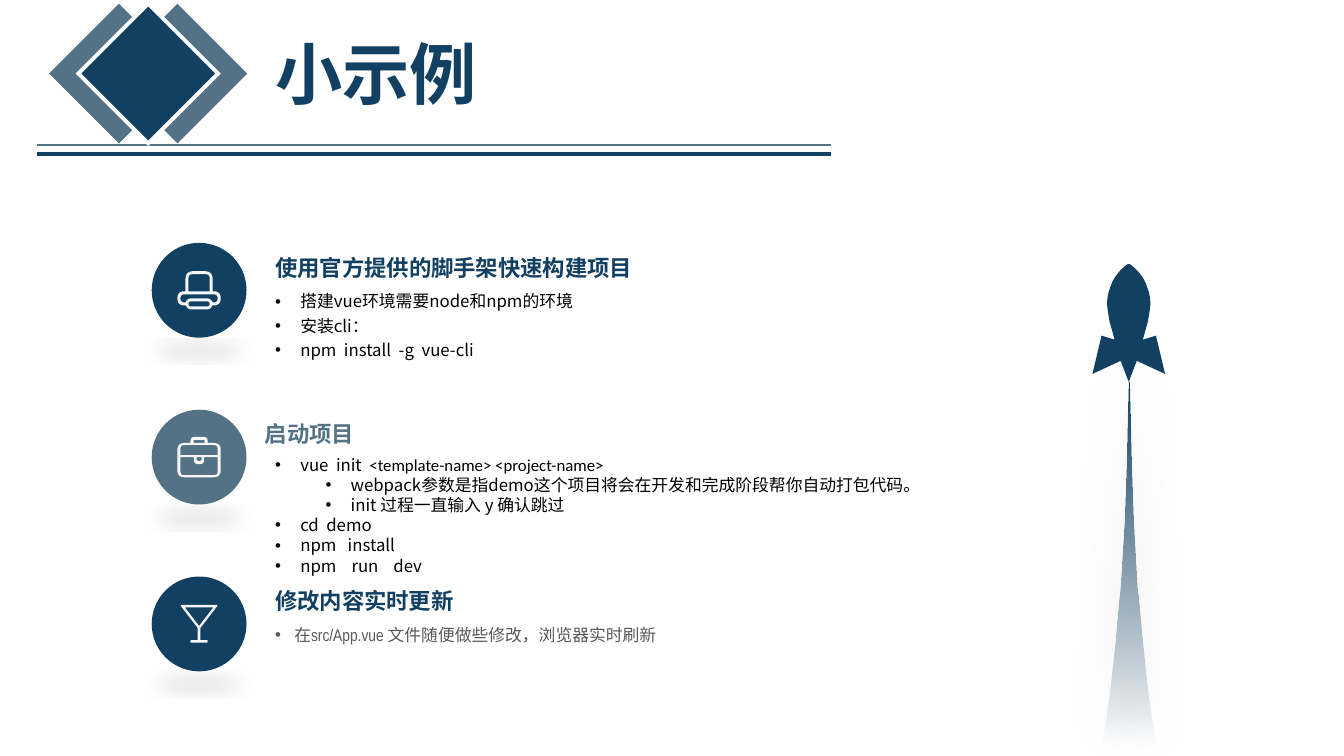
from math import dist

from lxml.etree import SubElement
from pptx import Presentation
from pptx.dml.color import RGBColor
from pptx.enum.shapes import MSO_CONNECTOR, MSO_SHAPE
from pptx.enum.text import MSO_ANCHOR, MSO_AUTO_SIZE, PP_ALIGN
from pptx.oxml.ns import qn
from pptx.util import Inches, Pt

COLORS = {
    "navy": "124062",
    "slate": "537285",
    "white": "FFFFFF",
    "icon": "F6F6F6",
    "black": "000000",
    "gray": "595959",
    "haze": "808080",
}
ROWS = 75
AXIS_OF_CIRCLES, FIRST_CIRCLE, CIRCLE_STEP, CIRCLE_SIZE = 19.75, 28.8, 16.55, 9.4
BODY_FONT, HEADING_FONT = "Noto Sans CJK SC", "Arial Narrow"

HAT = [
    [(1.35, -1.9, 0.8), (1.35, 0.1, 0), (2.15, 0.1, 0.7), (2.15, 1.5, 0.7),
     (1.3, 1.5, 0), (1.15, 1.9, 0.4)],
    [(1.05, -1.6, 0.4), (1.05, 0.1, 0)],
    [(1.85, 0.4, 0.4), (1.85, 1.2, 0.4), (1.35, 1.2, 0), (1.15, 0.8, 0.4)],
    [(1.05, 1.1, 0.25), (1.05, 1.6, 0.25)],
]
BRIEFCASE = [
    [(0.85, -2, 0.4), (0.85, -1.4, 0), (2.15, -1.4, 0.7), (2.15, 2, 0.7)],
    [(0.55, -1.7, 0.1), (0.55, -1.4, 0)],
    [(1.85, -1.2, 0.4), (1.85, -0.2, 0)],
    [(0, 0.7, 0), (0.55, 0.7, 0.5), (0.5, 0, 0), (1.85, 0, 0), (1.85, 1.8, 0.4)],
    [(0.25, 0, 0), (0.25, 0.4, 0.25)],
]
GLASS = [
    [(1.9, -1.9, 0.2), (0.13, 0.4, 0), (0.13, 1.6, 0), (0.85, 1.6, 0.1), (0.85, 1.85, 0.1)],
    [(1.42, -1.65, 0), (0, 0.2, 0)],
]
ROCKET = [[(across, down, 0) for across, down in (
    (0.1, 26.2), (0.5, 26.5), (0.9, 26.9), (1.3, 27.4), (1.6, 27.9), (1.8, 28.4),
    (2, 29), (2.12, 29.6), (2.15, 30.2), (2.1, 30.7), (2, 31.3), (1.9, 31.9),
    (1.7, 32.6), (1.4, 33.7), (2.7, 33.3), (3.6, 37.1), (0.8, 35.8), (0, 37.9))]]
FLAME = [[(across, down, 0) for across, down in (
    (0.05, 37.9), (0.15, 41.7), (0.25, 46), (0.45, 51.6), (0.83, 58.1), (1.34, 63.8),
    (1.9, 68.8), (2.5, 72.8), (2.75, 74.1))]]


def round_corners(corners):
    points = []
    for index, (x, y, radius) in enumerate(corners):
        if not radius:
            points.append((x, y))
            continue
        ends = []
        for other in (corners[index - 1], corners[(index + 1) % len(corners)]):
            share = radius / dist((x, y), other[:2])
            ends.append((x + (other[0] - x) * share, y + (other[1] - y) * share))
        for step in range(7):
            t = step / 6
            points.append(tuple(
                (1 - t) ** 2 * start + 2 * t * (1 - t) * middle + t ** 2 * end
                for start, middle, end in zip(ends[0], (x, y), ends[1])))
    return points


class SlideBuilder:
    def __init__(self, presentation):
        self.slide = presentation.slides.add_slide(presentation.slide_layouts[5])
        self.cell = presentation.slide_height / ROWS

    def units(self, *lengths):
        return [round(length * self.cell) for length in lengths]

    def color(self, name):
        return RGBColor.from_string(COLORS[name])

    def paint(self, shape, fill, outline=None):
        shape.shadow.inherit = False
        shape.fill.solid()
        shape.fill.fore_color.rgb = self.color(fill)
        if outline:
            shape.line.color.rgb = self.color(outline)
            shape.line.width = Pt(2.75)
            SubElement(shape._element.spPr.find(qn("a:ln")), qn("a:miter"), lim="800000")
        else:
            shape.line.fill.background()

    def rule(self, row, color, width):
        start, end, height = self.units(82.4, 3.7, row)
        line = self.slide.shapes.add_connector(MSO_CONNECTOR.STRAIGHT, start, height, end, height)
        line.line.color.rgb = self.color(color)
        line.line.width = Pt(width)
        SubElement(line._element.spPr, qn("a:effectLst"))

    def diamond(self, column, fill, outline=None):
        shape = self.slide.shapes.add_shape(
            MSO_SHAPE.ROUNDED_RECTANGLE, *self.units(column, 2.4, 9.8, 9.8))
        shape.adjustments[0] = 0
        shape.rotation = 45
        self.paint(shape, fill, outline)

    def shadow(self, shape, color, opacity, blur, distance, angle, **scaling):
        effects = shape._element.spPr.find(qn("a:effectLst"))
        outer = SubElement(effects, qn("a:outerShdw"), blurRad=str(Pt(blur)),
                           dist=str(Pt(distance)), dir=str(angle * 60000), **scaling)
        shade = SubElement(outer, qn("a:srgbClr"), val=COLORS[color])
        SubElement(shade, qn("a:alpha"), val=str(opacity * 1000))

    def circle(self, row, fill):
        half = CIRCLE_SIZE / 2
        shape = self.slide.shapes.add_shape(MSO_SHAPE.OVAL, *self.units(
            AXIS_OF_CIRCLES - half, row - half, CIRCLE_SIZE, CIRCLE_SIZE))
        self.paint(shape, fill)
        self.shadow(shape, "black", 10, 14, 3, 90, sx="90000", sy="-19000", algn="b")

    def symmetric(self, shapes, axis, row, halves, fill):
        builder = None
        for half in halves:
            mirrored = [(-across, down, radius) for across, down, radius in reversed(half)]
            points = [self.units(axis + x, row + y) for x, y in round_corners(half + mirrored)]
            if builder is None:
                builder = shapes.build_freeform(*points[0])
            else:
                builder.move_to(*points[0])
            builder.add_line_segments(points[1:], close=True)
        shape = builder.convert_to_shape()
        self.paint(shape, fill)
        return shape

    def rocket(self, axis):
        group = self.slide.shapes.add_group_shape()
        self.symmetric(group.shapes, axis, 0, ROCKET, "navy")
        flame = self.symmetric(group.shapes, axis, 0, FLAME, "navy")
        flame.fill.gradient()
        flame.fill.gradient_angle = 90
        for stop, position in zip(flame.fill.gradient_stops, (0, 1)):
            stop.position = position
            stop.color.rgb = self.color("navy")
        clear = flame._element.spPr.find(".//" + qn("a:srgbClr"))
        SubElement(clear, qn("a:alpha"), val="0")
        self.shadow(flame, "haze", 40, 33, 2, 45)

    def style(self, paragraph, font, size, color, bold=False):
        paragraph.font.name = font
        paragraph.font.size = Pt(size)
        paragraph.font.color.rgb = self.color(color)
        paragraph.font.bold = bold

    def title(self, text, place):
        shape = self.slide.shapes.title
        shape.left, shape.top, shape.width, shape.height = self.units(*place)
        frame = shape.text_frame
        frame.text = text
        frame.word_wrap = False
        frame.auto_size = MSO_AUTO_SIZE.SHAPE_TO_FIT_TEXT
        frame.vertical_anchor = MSO_ANCHOR.TOP
        frame.paragraphs[0].alignment = PP_ALIGN.LEFT
        self.style(frame.paragraphs[0], "Montserrat", 48, "navy", True)

    def text_frame(self, place, wrap):
        frame = self.slide.shapes.add_textbox(*self.units(*place)).text_frame
        frame.word_wrap = wrap
        frame.auto_size = MSO_AUTO_SIZE.SHAPE_TO_FIT_TEXT
        return frame

    def heading(self, text, place, color):
        frame = self.text_frame(place, False)
        frame.text = text
        self.style(frame.paragraphs[0], HEADING_FONT, 16, color, True)

    def bullets(self, items, place, spacing=1.0, font=BODY_FONT, color="black", indent=0.25):
        frame = self.text_frame(place, True)
        for index, (level, *runs) in enumerate(items):
            paragraph = frame.add_paragraph() if index else frame.paragraphs[0]
            paragraph.level = level
            paragraph.line_spacing = spacing
            properties = paragraph._p.get_or_add_pPr()
            properties.set("marL", str(Inches(indent + level / 2)))
            properties.set("indent", str(-Inches(indent)))
            SubElement(properties, qn("a:buFont"), typeface="Arial")
            SubElement(properties, qn("a:buChar"), char="•")
            self.style(paragraph, font, 12, color)
            for text, run_font in zip(runs, (None, "Calibri")):
                run = paragraph.add_run()
                run.text = text
                if run_font:
                    run.font.name = run_font


def main():
    presentation = Presentation()
    presentation.slide_width, presentation.slide_height = Inches(13.33), Inches(7.5)
    builder = SlideBuilder(presentation)
    builder.rule(14.4, "slate", 1)
    builder.diamond(12.7, "slate")
    builder.diamond(6.9, "slate")
    builder.diamond(9.8, "navy", "white")
    builder.rule(15.3, "navy", 3)
    builder.title("小示例", (26.3, 2.7, 22.2, 9.1))

    for index, (icon, fill) in enumerate(
            ((HAT, "navy"), (BRIEFCASE, "slate"), (GLASS, "navy"))):
        row = FIRST_CIRCLE + index * CIRCLE_STEP
        builder.circle(row, fill)
        builder.symmetric(builder.slide.shapes, AXIS_OF_CIRCLES, row, icon, "icon")

    builder.heading("使用官方提供的脚手架快速构建项目", (26.3, 24.7, 37.9, 3.7), "navy")
    builder.bullets([
        (0, "搭建vue环境需要node和npm的环境"),
        (0, "安装cli："),
        (0, "npm  install  -g  vue-cli"),
    ], (26.3, 28, 60.8, 8.3), spacing=1.2)
    builder.heading("启动项目", (25.3, 41.2, 11, 3.7), "slate")
    builder.bullets([
        (0, "vue  init  ", "<template-name> <project-name>"),
        (1, "webpack参数是指demo这个项目将会在开发和完成阶段帮你自动打包代码。"),
        (1, "init 过程一直输入 y 确认跳过"),
        (0, "cd  demo"),
        (0, "npm   install"),
        (0, "npm    run    dev"),
    ], (26.3, 44.6, 68.5, 13.1))
    builder.heading("修改内容实时更新", (26.3, 57.8, 20, 3.7), "navy")
    builder.bullets([(0, "在src/App.vue 文件随便做些修改，浏览器实时刷新")],
                    (26.3, 61.1, 60.8, 3.4), 1.2, HEADING_FONT, "gray", 0.19)
    builder.rocket(111.95)
    presentation.save("out.pptx")


if __name__ == "__main__":
    main()
